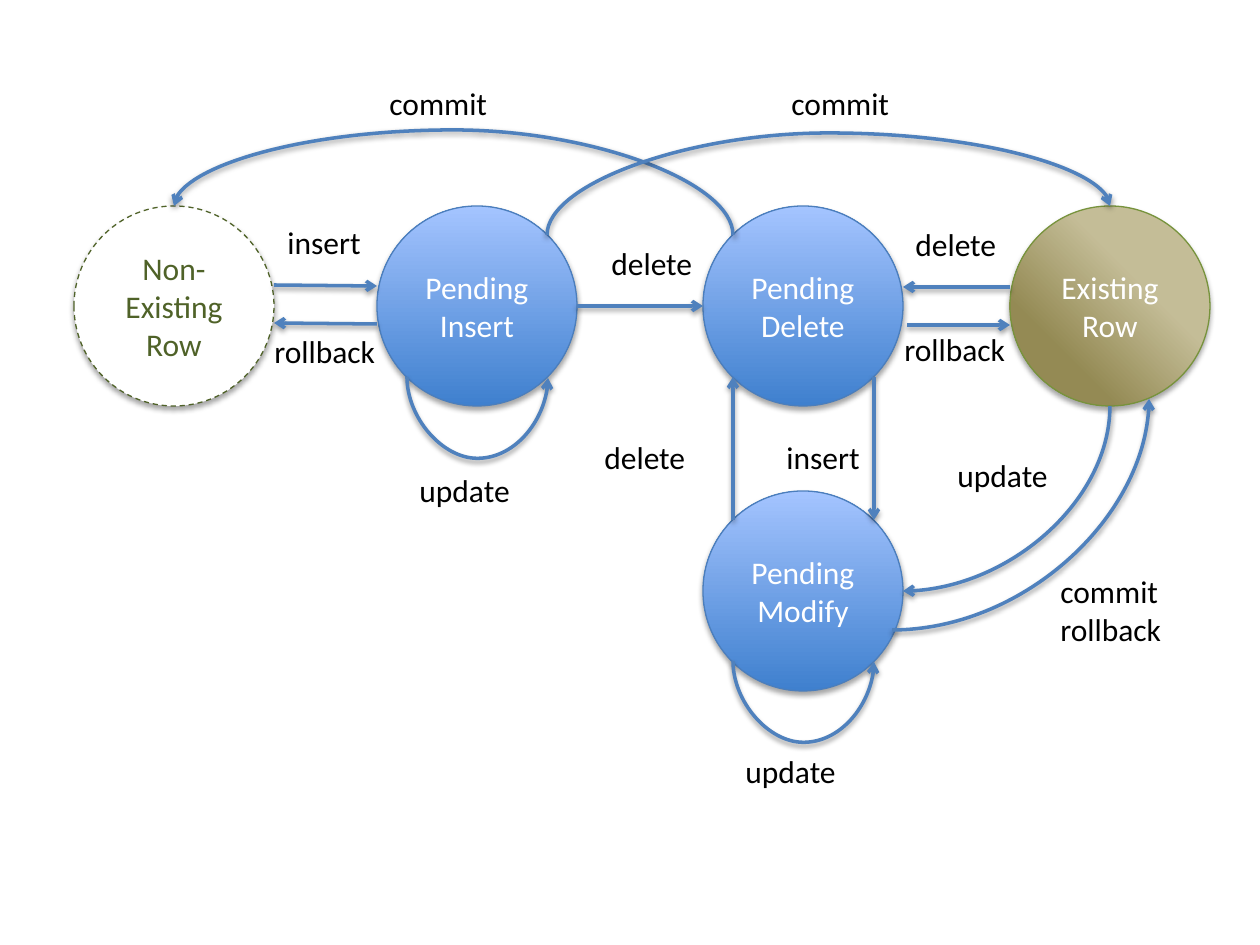
import pptx
import pptx.util
import pptx.dml.color
import pptx.enum.dml
import pptx.enum.shapes
import pptx.enum.text
import pptx.oxml
import pptx.oxml.ns
from lxml import etree

EMU_PER_PX = 914400 / 126
FONT, SIZE = "Calibri", 18
ARROW_BLUE = "4F81BD"
DIAMETER = 200
ROW_TOP, MODIFY_TOP = 206, 491


def emu(pixels):
    return pptx.util.Emu(round(pixels * EMU_PER_PX))


def color(hex_string):
    return pptx.dml.color.RGBColor.from_string(hex_string)


def child(parent, tag, **attributes):
    element = etree.SubElement(parent, pptx.oxml.ns.qn(tag))
    for name, value in attributes.items():
        element.set(name, str(value))
    return element


class Diagram:
    def __init__(self, slide):
        self.shapes = slide.shapes

    def set_text(self, frame, text, hex_color, align):
        frame.text = text
        for paragraph in frame.paragraphs:
            paragraph.alignment = align
            for run in paragraph.runs:
                run.font.name = FONT
                run.font.size = pptx.util.Pt(SIZE)
                run.font.color.rgb = color(hex_color)

    def shadow(self, shape, distance, opacity):
        effects = child(shape._element.spPr, "a:effectLst")
        outer = child(effects, "a:outerShdw", blurRad=pptx.util.Pt(3.1),
                      dist=pptx.util.Pt(distance), dir=90 * 60000, rotWithShape=0)
        black = child(outer, "a:srgbClr", val="000000")
        child(black, "a:alpha", val=opacity * 1000)

    def label(self, text, left, top, width):
        height = 50 + 39 * text.count("\n")
        box = self.shapes.add_textbox(emu(left), emu(top), emu(width), emu(height))
        self.set_text(box.text_frame, text, "000000", pptx.enum.text.PP_ALIGN.LEFT)
        box.text_frame.word_wrap = False
        box.text_frame.auto_size = pptx.enum.text.MSO_AUTO_SIZE.SHAPE_TO_FIT_TEXT

    def state(self, text, left, top, stops, outline, ink="FFFFFF", radial=False, dashed=False):
        circle = self.shapes.add_shape(pptx.enum.shapes.MSO_SHAPE.OVAL, emu(left), emu(top),
                                       emu(DIAMETER), emu(DIAMETER))
        if len(stops) == 1:
            circle.fill.solid()
            circle.fill.fore_color.rgb = color(stops[0][1])
        else:
            circle.fill.gradient()
            circle.fill.gradient_angle = 90
            for stop, (position, hex_color) in zip(circle.fill.gradient_stops, stops):
                stop.position = position
                stop.color.rgb = color(hex_color)
        if radial:
            gradient = circle._element.spPr.find(pptx.oxml.ns.qn("a:gradFill"))
            gradient.remove(gradient.find(pptx.oxml.ns.qn("a:lin")))
            circular = child(gradient, "a:path", path="circle")
            child(circular, "a:fillToRect", t=100000, r=100000)
        circle.line.color.rgb = color(outline)
        circle.line.width = pptx.util.Pt(0.75)
        if dashed:
            circle.line.dash_style = pptx.enum.dml.MSO_LINE.DASH
        self.shadow(circle, 1.8, 35)
        self.set_text(circle.text_frame, text, ink, pptx.enum.text.PP_ALIGN.CENTER)
        circle.text_frame.vertical_anchor = pptx.enum.text.MSO_ANCHOR.MIDDLE

    def arrow(self, start, end, kind=pptx.enum.shapes.MSO_CONNECTOR.STRAIGHT):
        line = self.shapes.add_connector(kind, *map(emu, start + end))
        line.line.color.rgb = color(ARROW_BLUE)
        line.line.width = pptx.util.Pt(2)
        child(line._element.spPr.find(pptx.oxml.ns.qn("a:ln")), "a:tailEnd", type="arrow")
        self.shadow(line, 1.6, 38)
        return line

    def curve(self, start, end, depth=None, upright=True):
        """Leave vertically if upright; a depth makes a bow, none a quarter turn."""
        line = self.arrow(start, end, pptx.enum.shapes.MSO_CONNECTOR.CURVE)
        (x1, y1), (x2, y2) = start, end
        width, height = abs(x2 - x1), abs(y2 - y1)
        leftward, downward = x2 < x1, y2 > y1
        frame = line._element.spPr.find(pptx.oxml.ns.qn("a:xfrm"))
        flip_h, flip_v = (downward, leftward) if upright else (leftward, not downward)
        frame.set("flipH", str(int(flip_h)))
        frame.set("flipV", str(int(flip_v)))
        if upright:
            frame.set("rot", str(270 * 60000))
            width, height = height, width
        line.left, line.top = emu((x1 + x2 - width) / 2), emu((y1 + y2 - height) / 2)
        line.width, line.height = emu(width), emu(height)
        geometry = line._element.spPr.find(pptx.oxml.ns.qn("a:prstGeom"))
        geometry.set("prst", "curvedConnector3" if depth else "curvedConnector2")
        if depth:
            adjustments = geometry.find(pptx.oxml.ns.qn("a:avLst"))
            if adjustments is None:
                adjustments = child(geometry, "a:avLst")
            child(adjustments, "a:gd", name="adj1", fmla=f"val {round(depth / width * 100000)}")


presentation = pptx.Presentation()
presentation.slide_width = pptx.util.Inches(10)
presentation.slide_height = pptx.util.Inches(7.5)
diagram = Diagram(presentation.slides.add_slide(presentation.slide_layouts[6]))

# Transition labels
for transition in [
    ("insert", 275, 217, 99), ("update", 407, 465, 117), ("delete", 903, 219, 107),
    ("insert", 774, 432, 99), ("delete", 599, 238, 107), ("delete", 592, 432, 107),
    ("update", 945, 450, 117), ("update", 733, 746, 117), ("commit", 779, 78, 125),
    ("commit", 377, 78, 125), ("rollback", 262, 326, 127), ("rollback", 892, 324, 127),
    ("commit\nrollback", 1048, 566, 129),
]:
    diagram.label(*transition)

# Row states
diagram.state("Existing\nRow", 1010, ROW_TOP, [(0.26, "948A54"), (0.64, "C4BD97")],
              "77933C", radial=True)
for pending, left, top in [("Insert", 377, ROW_TOP), ("Modify", 703, MODIFY_TOP),
                           ("Delete", 703, ROW_TOP)]:
    diagram.state("Pending\n" + pending, left, top, [(0, "3F80CE"), (1, "A4C4FF")], "4B7EBC")
diagram.state("Non-Existing\nRow", 74, ROW_TOP, [(0, "FFFFFF")], "4F6228",
              ink="4F6228", dashed=True)

# Straight transitions
for start, end in [
    ((274, 285), (377, 286)), ((377, 324), (274, 323)), ((577, 306), (703, 306)),
    ((1010, 287), (903, 287)), ((907, 325), (1010, 325)),
    ((733, 520), (733, 377)), ((874, 377), (874, 520)),
]:
    diagram.arrow(start, end)

# Updates that stay in the same state
for left, top in [(407, 377), (733, 661)]:
    diagram.curve((left, top), (left + 141, top + 1), depth=82)

# Commits over the top
diagram.curve((733, 235), (174, ROW_TOP), depth=105)
diagram.curve((547, 235), (1110, ROW_TOP), depth=102)

# Between existing row and pending modify
diagram.curve((1110, 406), (903, 591))
diagram.curve((892, 630), (1149, 399), upright=False)

presentation.save("out.pptx")
